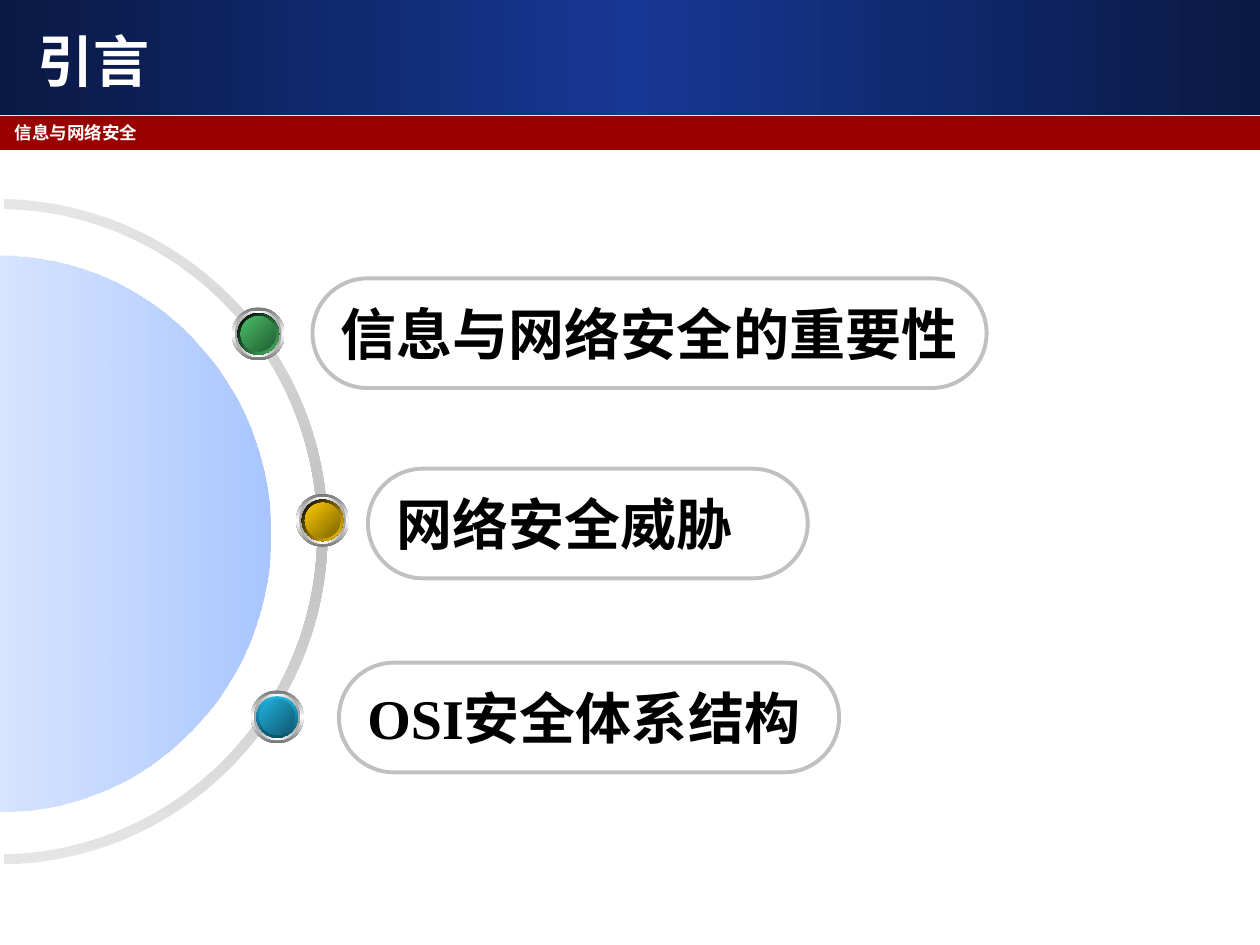
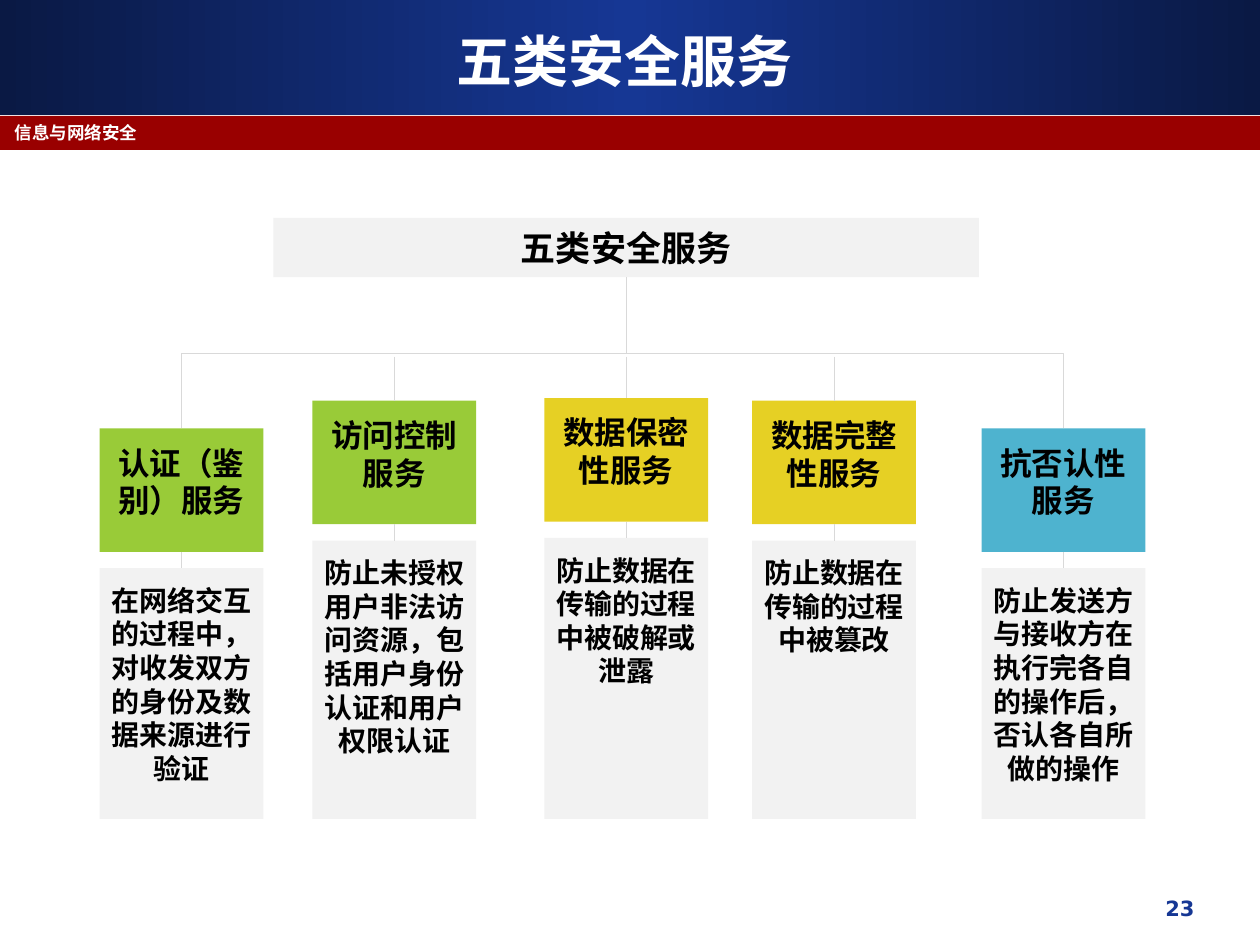
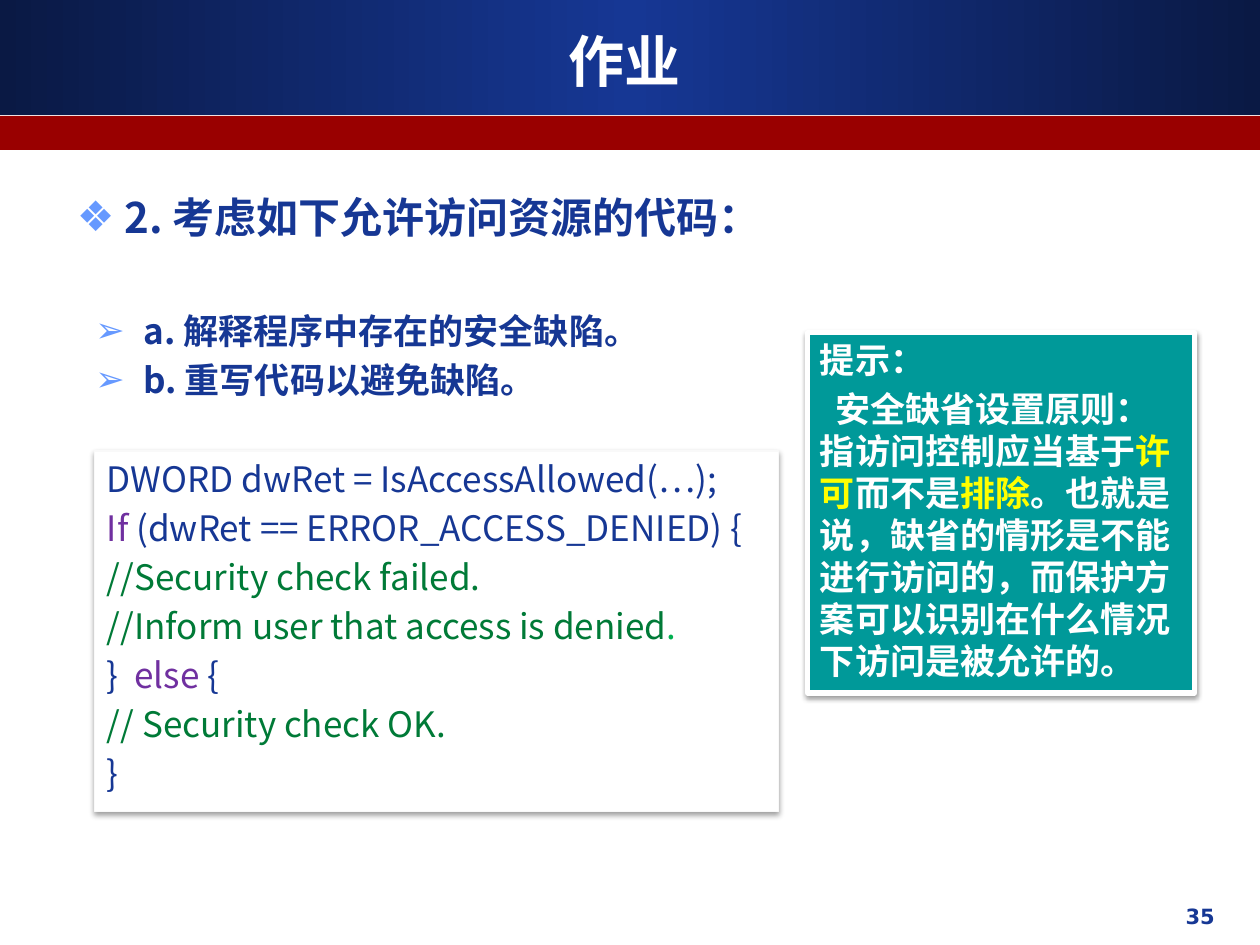
"""Build three slides on information and network security."""
from dataclasses import dataclass

from lxml import etree
from pptx import Presentation
from pptx.dml.color import RGBColor
from pptx.enum.lang import MSO_LANGUAGE_ID
from pptx.enum.shapes import MSO_CONNECTOR, MSO_SHAPE
from pptx.enum.text import MSO_ANCHOR, MSO_AUTO_SIZE, PP_ALIGN
from pptx.oxml.ns import qn
from pptx.util import Inches, Pt

RECT, ROUND, OVAL = MSO_SHAPE.RECTANGLE, MSO_SHAPE.ROUNDED_RECTANGLE, MSO_SHAPE.OVAL
STRAIGHT, ELBOW = MSO_CONNECTOR.STRAIGHT, MSO_CONNECTOR.ELBOW
LEFT, CENTER, RIGHT = PP_ALIGN.LEFT, PP_ALIGN.CENTER, PP_ALIGN.RIGHT
TOP, MIDDLE = MSO_ANCHOR.TOP, MSO_ANCHOR.MIDDLE
CHINESE = MSO_LANGUAGE_ID.SIMPLIFIED_CHINESE


@dataclass(frozen=True)
class Theme:
    cjk: str = "Noto Sans CJK SC"
    sans: str = "DejaVu Sans"
    serif: str = "Times New Roman"
    navy: str = "163794"
    deep: str = "0A1944"
    red: str = "990000"
    white: str = "FFFFFF"
    black: str = "000000"
    bullet: str = "6699FF"
    silver: str = "C0C0C0"
    pale: str = "E5E5E5"
    panel: str = "F2F2F2"
    wire: str = "D9D9D9"
    lime: str = "99CB38"
    gold: str = "E6D024"
    sky: str = "4EB3CF"
    teal: str = "009999"
    yellow: str = "FFFF00"
    purple: str = "7030A0"
    green: str = "007A37"
    title: int = 32
    lead: int = 24
    text: int = 20
    head: int = 18
    note: int = 16
    number: int = 12
    footer: int = 10


T = Theme()


def paint(shape, fill=None, angle=0, line=None, weight=1, shadow=False):
    """Fill with a colour, or with (position, colour, alpha) gradient stops."""
    shape.shadow.inherit = False
    if fill is None:
        shape.fill.background()
    elif isinstance(fill, str):
        shape.fill.solid()
        shape.fill.fore_color.rgb = RGBColor.from_string(fill)
    else:
        shape.fill.gradient()
        grad = shape.element.spPr.find(qn("a:gradFill"))
        grad.find(qn("a:lin")).set("ang", str(angle * 60000))
        stops = grad.find(qn("a:gsLst"))
        for old in list(stops):
            stops.remove(old)
        for pos, color, alpha in fill:
            stop = etree.SubElement(stops, qn("a:gs"), pos=str(pos * 1000))
            clr = etree.SubElement(stop, qn("a:srgbClr"), val=color)
            if alpha < 100:
                etree.SubElement(clr, qn("a:alpha"), val=str(alpha * 1000))
    if line:
        shape.line.color.rgb = RGBColor.from_string(line)
        shape.line.width = Pt(weight)
    else:
        shape.line.fill.background()
    if shadow:
        effects = shape.element.spPr.find(qn("a:effectLst"))
        outer = etree.SubElement(effects, qn("a:outerShdw"), blurRad=str(Pt(3.1)),
                                 dist=str(Pt(1.6)), dir="5400000", rotWithShape="0")
        clr = etree.SubElement(outer, qn("a:srgbClr"), val=T.black)
        etree.SubElement(clr, qn("a:alpha"), val="38000")
    return shape


def write(shape, lines, size, color=T.black, font=T.cjk, bold=True, align=LEFT,
          anchor=TOP, wrap=True, insets=(0.1, 0.05, 0.1, 0.05), bullet=None):
    """Write paragraphs, each a string or a list of (text, colour) runs."""
    tf = shape.text_frame
    tf.auto_size = MSO_AUTO_SIZE.NONE
    tf.word_wrap = wrap
    tf.vertical_anchor = anchor
    tf.margin_left, tf.margin_top, tf.margin_right, tf.margin_bottom = map(Inches, insets)
    for i, line in enumerate(lines):
        p = tf.add_paragraph() if i else tf.paragraphs[0]
        p.alignment = align
        p.space_before = Pt(size * 0.2 if i else 0)
        if bullet:
            pPr = p._p.get_or_add_pPr()
            pPr.set("marL", str(Inches(0.38)))
            pPr.set("indent", str(Inches(-0.38)))
            clr = etree.SubElement(pPr, qn("a:buClr"))
            etree.SubElement(clr, qn("a:srgbClr"), val=T.bullet)
            etree.SubElement(pPr, qn("a:buFont"), typeface=T.sans)
            etree.SubElement(pPr, qn("a:buChar"), char=bullet)
        for text, run_color in [(line, color)] if isinstance(line, str) else line:
            r = p.add_run()
            r.text = text
            r.font.size, r.font.bold, r.font.name = Pt(size), bold, font
            r.font.language_id = CHINESE
            r.font.color.rgb = RGBColor.from_string(run_color)
            etree.SubElement(r._r.get_or_add_rPr(), qn("a:ea"), typeface=T.cjk)
    return tf


prs = Presentation()
prs.slide_width, prs.slide_height = Inches(10), Inches(7.5)

slides = []
for layout, title, left, width, footer, number in [
    (5, "引言", 0, 1.48, "信息与网络安全", None),
    (5, "五类安全服务", 0.33, 9.25, "信息与网络安全", ("23", 6.41, 7.06, 3.17, 0.35)),
    (1, "作业", 0.33, 9.25, None, ("35", 8.7, 7.12, 1.04, 0.31)),
]:
    s = prs.slides.add_slide(prs.slide_layouts[layout])
    slides.append(s)
    head = s.shapes.title
    head.left, head.top, head.width, head.height = map(Inches, (left, 0.17, width, 0.62))
    write(head, [title], T.title, T.white, T.sans, align=CENTER, anchor=MIDDLE)
    if footer:
        tb = s.shapes.add_textbox(*map(Inches, (0.02, 0.92, 9.25, 0.25)))
        write(tb, [footer], T.footer, T.white, T.sans)
    if number:
        tb = s.shapes.add_textbox(*map(Inches, number[1:]))
        write(tb, [number[0]], T.number, T.navy, T.sans, align=RIGHT)
intro, services, homework = slides

blue_band = [(0, T.deep, 100), (50, T.navy, 100), (100, T.deep, 100)]
for i, (top, height, fill) in enumerate([(0, 0.91, blue_band), (0.92, 0.27, T.red)]):
    band = intro.shapes.add_shape(RECT, *map(Inches, (0, top, 10, height)))
    paint(band, fill)
    prs.slide_master.shapes.element.insert(2 + i, band.element)

arc = [
    [(0.03, 1.66)],
    [(1.41, 1.68), (2.52, 2.82), (2.52, 4.22)],
    [(2.52, 5.62), (1.41, 6.76), (0.03, 6.78)],
    [(0.03, 6.86)],
    [(1.45, 6.84), (2.6, 5.66), (2.6, 4.22)],
    [(2.6, 2.78), (1.45, 1.61), (0.03, 1.58)],
]
disc = [
    [(0, 2.03)],
    [(1.19, 2.03), (2.15, 3.02), (2.15, 4.24)],
    [(2.15, 5.46), (1.19, 6.44), (0, 6.44)],
]
arc_fill = [(0, T.pale, 100), (50, T.silver, 100), (100, T.pale, 100)]
disc_fill = [(0, "B2CCFF", 52), (100, T.bullet, 56)]
for segments, fill, angle in [(arc, arc_fill, 90), (disc, disc_fill, 0)]:
    points = [(Inches(x), Inches(y)) for segment in segments for x, y in segment]
    builder = intro.shapes.build_freeform(*points[0])
    builder.add_line_segments(points[1:])
    outline = paint(builder.convert_to_shape(), fill, angle)
    steps = iter(list(outline.element.iter(qn("a:lnTo"))))
    for segment in segments[1:]:
        first = next(steps)
        if len(segment) == 3:
            first.tag = qn("a:cubicBezTo")
            for _ in range(2):
                step = next(steps)
                first.append(step[0])
                step.getparent().remove(step)

for text, left, top, width, x, y, rim, rim_angle, face in [
    ("信息与网络安全的重要性", 2.48, 2.21, 5.35, 2.05, 2.65,
     (T.black, "48BE67"), 45, ("48BE67", "235C32")),
    ("网络安全威胁", 2.92, 3.72, 3.49, 2.56, 4.13,
     (T.black, "FFCC00"), 45, ("FFCC00", "7C6300")),
    ("OSI安全体系结构", 2.69, 5.26, 3.97, 2.2, 5.69,
     ("21B3E1", "0F5368"), 90, ("21B3E1", "10576D")),
]:
    pill = intro.shapes.add_shape(ROUND, *map(Inches, (left, top, width, 0.87)))
    pill.adjustments[0] = 0.5
    paint(pill, line=T.silver, weight=2.25)
    write(pill, [text], T.title, font=T.serif if text.startswith("OSI") else T.cjk,
          anchor=MIDDLE, wrap=False)
    for size, colors, angle in [
        (0.42, ("767676", T.white, "767676"), 90),
        (0.37, ("A2A2A2", T.white, "A2A2A2"), 0),
        (0.33, rim, rim_angle),
        (0.28, face, 45),
    ]:
        ring = intro.shapes.add_shape(
            OVAL, *map(Inches, (x - size / 2, y - size / 2, size, size)))
        step = 100 // (len(colors) - 1)
        paint(ring, [(i * step, c, 100) for i, c in enumerate(colors)], angle)

trunk, fork, root_bottom, bottom, low = 4.97, 2.8, 2.2, 6.5, 3.4
root = services.shapes.add_shape(RECT, *map(Inches, (2.17, 1.73, 5.6, 0.47)))
paint(root, T.panel)
write(root, ["五类安全服务"], T.text, align=CENTER, anchor=MIDDLE, insets=[0.01] * 4)

wires = []
for name, detail, left, top, color in [
    ("认证（鉴别）服务", "在网络交互的过程中，对收发双方的身份及数据来源进行验证", 0.79, low, T.lime),
    ("访问控制服务", "防止未授权用户非法访问资源，包括用户身份认证和用户权限认证", 2.48, 3.18, T.lime),
    ("数据保密性服务", "防止数据在传输的过程中被破解或泄露", 4.32, 3.16, T.gold),
    ("数据完整性服务", "防止数据在传输的过程中被篡改", 5.97, 3.18, T.gold),
    ("抗否认性服务", "防止发送方与接收方在执行完各自的操作后，否认各自所做的操作", 7.79, low, T.sky),
]:
    pair = []
    for text, y, height, fill, size in [
        (name, top, 0.98, color, T.head),
        (detail, top + 1.11, bottom - top - 1.11, T.panel, T.note),
    ]:
        card = services.shapes.add_shape(RECT, *map(Inches, (left, y, 1.3, height)))
        paint(card, fill)
        write(card, [text], size, align=CENTER, insets=(0.08, 0.12, 0.08, 0))
        pair.append(card)
    center = left + 0.65
    if top == low:
        side = 1 if center > trunk else -1
        mid_x, mid_y = (trunk + center) / 2, (root_bottom + top) / 2
        half_w, half_h = side * (top - root_bottom) / 2, abs(center - trunk) / 2
        wire = services.shapes.add_connector(ELBOW, *map(Inches, (
            mid_x + half_w, mid_y - half_h, mid_x - half_w, mid_y + half_h)))
        turn = (180 + side * 90) * 60000
        wire.element.spPr.find(qn("a:xfrm")).set("rot", str(turn))
    else:
        wire = services.shapes.add_connector(
            STRAIGHT, *map(Inches, (center, fork + 0.03, center, top)))
        wire.end_connect(pair[0], 0)
    link = services.shapes.add_connector(
        STRAIGHT, *map(Inches, (center, top + 0.98, center, top + 1.11)))
    link.begin_connect(pair[0], 2)
    link.end_connect(pair[1], 0)
    wires += [wire, link]
for wire in wires:
    wire.line.color.rgb = RGBColor.from_string(T.wire)
    wire.line.width = Pt(0.25)
    etree.SubElement(wire.element.spPr, qn("a:effectLst"))

body = homework.placeholders[1]
body.left, body.top, body.width, body.height = map(Inches, (0.51, 1.47, 6.23, 0.62))
write(body, ["2. 考虑如下允许访问资源的代码："], T.lead, T.navy, bullet="❖")

hint = homework.shapes.add_shape(RECT, *map(Inches, (6.41, 2.64, 3.07, 2.86)))
paint(hint, T.teal, line=T.white, weight=3, shadow=True)
tf = write(hint, [
    "提示：",
    [("安全缺省设置原则：指访问控制应当基于", T.white), ("许可", T.yellow),
     ("而不是", T.white), ("排除", T.yellow),
     ("。也就是说，缺省的情形是不能进行访问的，而保护方案可以识别在什么情况下访问是被允许的。",
      T.white)],
], T.text, T.white)
tf.paragraphs[1]._p.get_or_add_pPr().set("indent", str(Inches(0.12)))

code = homework.shapes.add_shape(RECT, *map(Inches, (0.75, 3.58, 5.43, 2.86)))
paint(code, T.white, line="F9F9F9", weight=0.75, shadow=True)
write(code, [
    "DWORD dwRet = IsAccessAllowed(…);",
    [("If", T.purple), (" (dwRet == ERROR_ACCESS_DENIED) {", T.navy)],
    [("//Security check failed.", T.green)],
    [("//Inform user that access is denied", T.green), (".", "00B050")],
    [("}  ", T.navy), ("else", T.purple), (" {", T.navy)],
    [("// Security check OK.", T.green)],
    "}",
], T.text, T.navy, bold=False)

tasks = homework.shapes.add_textbox(*map(Inches, (0.66, 2.41, 5, 0.84)))
write(tasks, ["a. 解释程序中存在的安全缺陷。", "b. 重写代码以避免缺陷。"],
      T.text, T.navy, bullet="➢")

prs.save("out.pptx")
